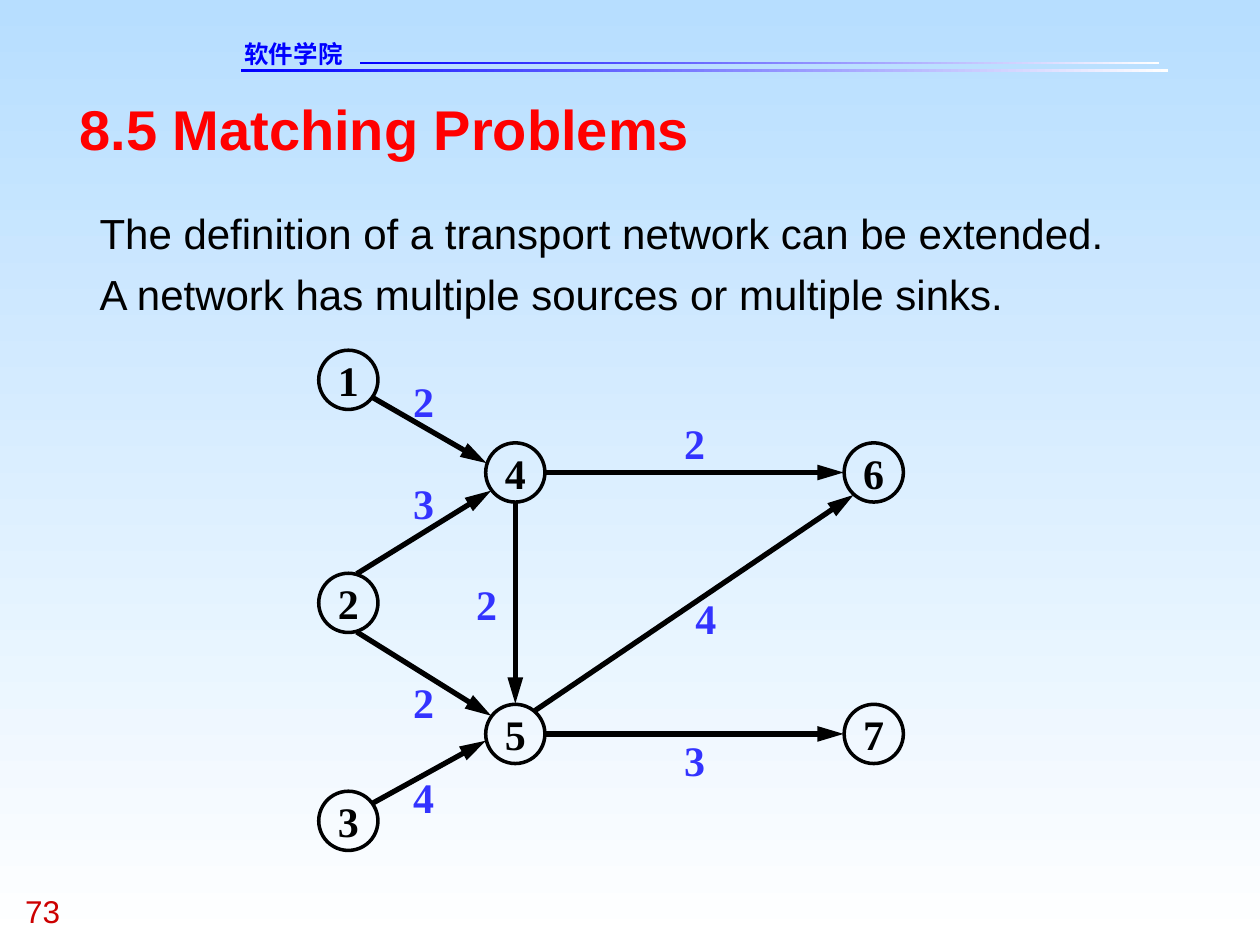
from dataclasses import dataclass
from math import cos, radians, sin

from lxml import etree
from pptx import Presentation
from pptx import util as u
from pptx.dml.color import RGBColor
from pptx.enum import shapes, text
from pptx.oxml.ns import qn

# The slide is a grid of 100 columns by 75 rows of square cells.
COLS, ROWS = 100, 75
CELL = u.Inches(0.1)

SKY = RGBColor(0xB7, 0xDE, 0xFF)
WHITE = RGBColor(0xFF, 0xFF, 0xFF)
BLACK = RGBColor(0, 0, 0)
BLUE = RGBColor(0, 0, 0xFF)
RED = RGBColor(0xFF, 0, 0)
DARK_RED = RGBColor(0xCC, 0, 0)
WEIGHT_BLUE = RGBColor(0x33, 0x33, 0xFF)
SANS, SERIF, HEADER = "Arial", "Times New Roman", "DejaVu Sans"

NODE_SIZE = 4.7
ARROW_RADIUS = 2.4


@dataclass(frozen=True)
class Style:
    font: str
    size: int
    color: RGBColor
    bold: bool = False
    spacing: float = 1.0


@dataclass(frozen=True)
class Label:
    words: str
    col: float
    row: float
    cols: float
    rows: float
    style: Style


@dataclass(frozen=True)
class Node:
    col: float
    row: float


@dataclass(frozen=True)
class Edge:
    """Directed edge; angles are clockwise degrees around each node's centre."""
    start: int
    end: int
    leave: float
    enter: float
    weight: str
    weight_col: float
    weight_row: float


NODE_STYLE = Style(SERIF, 24, BLACK, bold=True)
WEIGHT_STYLE = Style(SERIF, 24, WEIGHT_BLUE, bold=True)

LABELS = [
    Label("软件学院", 19.4, 3.1, 14.5, 2.3, Style(HEADER, 14, BLUE, bold=True)),
    Label("73", 2, 70.8, 7.5, 3, Style(SANS, 18, DARK_RED)),
    Label("8.5 Matching Problems", 6.3, 7.5, 87.5, 5.3,
          Style(SANS, 32, RED, bold=True)),
    Label("The definition of a transport network can be extended.\n"
          "A network has multiple sources or multiple sinks.",
          7.9, 15.7, 87.1, 9.6, Style(SANS, 24, BLACK, spacing=1.2)),
]

LEFT, MIDDLE, RIGHT = 27.65, 40.9, 69.35
UPPER, LOWER = 37.5, 58.25
NODES = {
    1: Node(LEFT, 30.15),
    2: Node(LEFT, 47.85),
    3: Node(LEFT, 65.15),
    4: Node(MIDDLE, UPPER),
    5: Node(MIDDLE, LOWER),
    6: Node(RIGHT, UPPER),
    7: Node(RIGHT, LOWER),
}

EDGES = [
    Edge(1, 4, 36, 198, "2", 32.8, 29.8),
    Edge(2, 4, -74, 143, "3", 32.8, 37.9),
    Edge(2, 5, 74, -143, "2", 32.8, 53.7),
    Edge(3, 5, -36, 167, "4", 32.8, 61.2),
    Edge(4, 5, 90, -90, "2", 37.8, 45.9),
    Edge(4, 6, 0, 180, "2", 54.3, 33.1),
    Edge(5, 6, -50, 132, "4", 55.2, 47),
    Edge(5, 7, 0, 180, "3", 54.3, 58.3),
]


def cells(*counts: float) -> list[u.Emu]:
    return [u.Emu(round(n * CELL)) for n in counts]


def write(tf, words: str, style: Style, align=text.PP_ALIGN.LEFT) -> None:
    tf.margin_left = tf.margin_right = tf.margin_top = tf.margin_bottom = 0
    tf.text = words
    for p in tf.paragraphs:
        p.alignment = align
        p.line_spacing = style.spacing
        p.font.name = style.font
        p.font.size = u.Pt(style.size)
        p.font.bold = style.bold
        p.font.color.rgb = style.color


def set_gradient(fill, first: RGBColor, last: RGBColor, angle: float) -> None:
    fill.gradient()
    fill.gradient_angle = angle
    for stop, color in zip(fill.gradient_stops, (first, last)):
        stop.color.rgb = color


def draw_label(s, label: Label) -> None:
    sp = s.shapes.add_textbox(
        *cells(label.col, label.row, label.cols, label.rows))
    sp.text_frame.word_wrap = True
    write(sp.text_frame, label.words, label.style)


def draw_rule(s, col: float, row: float, cols: float) -> None:
    sp = s.shapes.add_shape(shapes.MSO_SHAPE.RECTANGLE,
                            *cells(col, row, cols, 0.2))
    sp.shadow.inherit = False
    sp.line.fill.background()
    set_gradient(sp.fill, WHITE, BLUE, 180)


def draw_node(s, number: int, node: Node) -> None:
    half = NODE_SIZE / 2
    sp = s.shapes.add_shape(
        shapes.MSO_SHAPE.OVAL,
        *cells(node.col - half, node.row - half, NODE_SIZE, NODE_SIZE))
    sp.shadow.inherit = False
    sp.fill.background()
    sp.line.color.rgb = BLACK
    sp.line.width = u.Pt(2)
    tf = sp.text_frame
    tf.word_wrap = False
    tf.vertical_anchor = text.MSO_ANCHOR.MIDDLE
    write(tf, str(number), NODE_STYLE, text.PP_ALIGN.CENTER)


def rim_point(node: Node, angle: float) -> list[u.Emu]:
    a = radians(angle)
    return cells(node.col + ARROW_RADIUS * cos(a),
                 node.row + ARROW_RADIUS * sin(a))


def draw_edge(s, edge: Edge) -> None:
    line = s.shapes.add_connector(
        shapes.MSO_CONNECTOR.STRAIGHT,
        *rim_point(NODES[edge.start], edge.leave),
        *rim_point(NODES[edge.end], edge.enter))
    line.line.color.rgb = BLACK
    line.line.width = u.Pt(3)
    etree.SubElement(line.line._get_or_add_ln(), qn("a:tailEnd"),
                     type="triangle", w="med", len="lg")
    etree.SubElement(line._element.spPr, qn("a:effectLst"))
    draw_label(s, Label(edge.weight, edge.weight_col, edge.weight_row,
                        1.7, 4, WEIGHT_STYLE))


def main() -> None:
    prs = Presentation()
    prs.slide_width, prs.slide_height = cells(COLS, ROWS)
    s = prs.slides.add_slide(prs.slide_layouts[6])
    set_gradient(s.background.fill, SKY, WHITE, 270)
    draw_rule(s, 19.1, 5.5, 73.6)
    draw_rule(s, 28.6, 4.9, 63.4)
    for label in LABELS:
        draw_label(s, label)
    for number, node in NODES.items():
        draw_node(s, number, node)
    for edge in EDGES:
        draw_edge(s, edge)
    prs.save("out.pptx")


if __name__ == "__main__":
    main()
